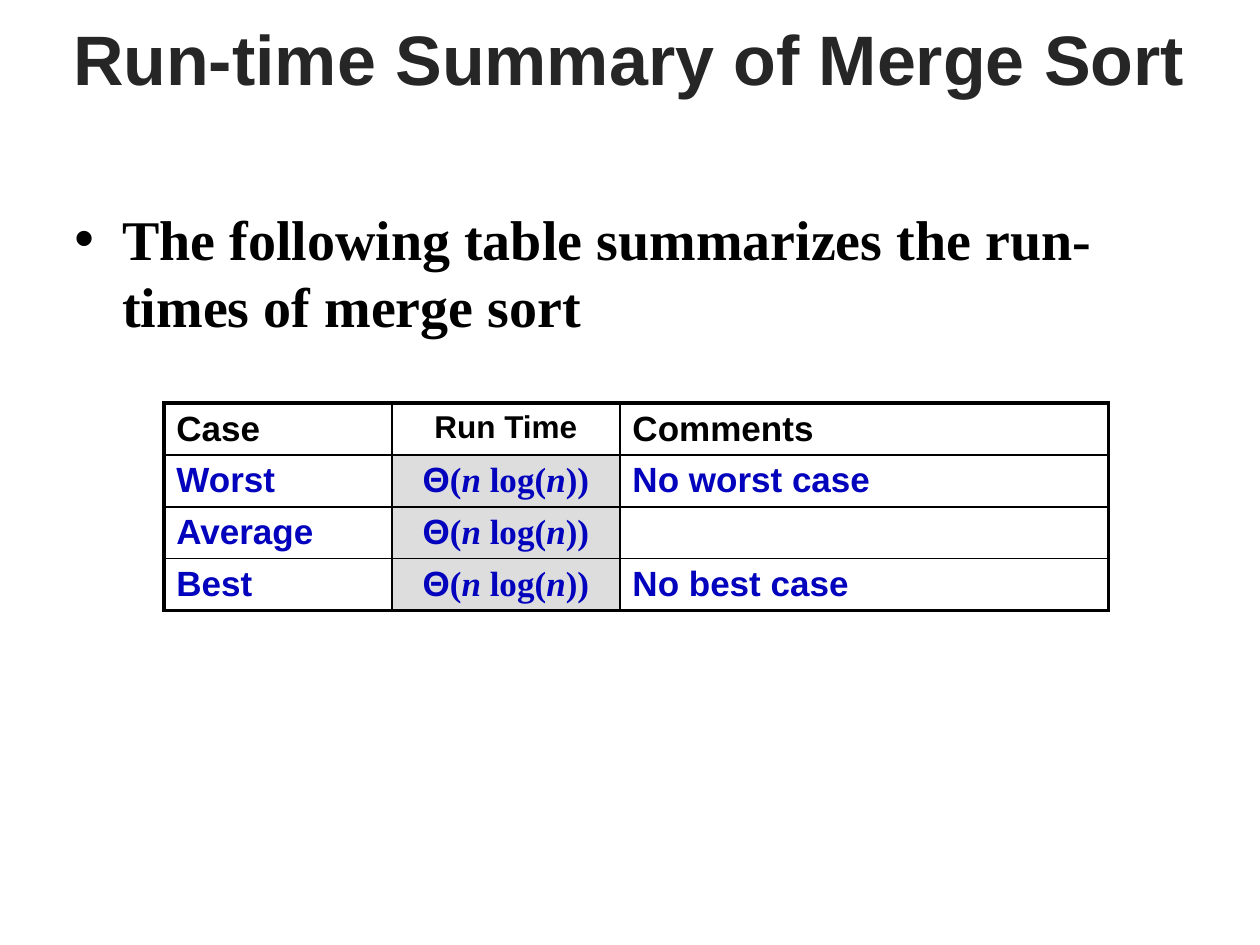
from lxml import etree
from pptx import Presentation
from pptx.dml.color import RGBColor
from pptx.enum.text import MSO_ANCHOR as Anchor, MSO_AUTO_SIZE as AutoSize, PP_ALIGN as Align
from pptx.oxml import parse_xml
from pptx.oxml.ns import nsdecls, qn
from pptx.util import Inches, Pt

COLORS = {"title": "262626", "text": "000000", "result": "0303BD",
          "shade": "DDDDDD", "border": "000000"}
SANS, SERIF = "Arial", "Times New Roman"
OUTER, INNER = 2.25, 1


class SummarySlide:
    def __init__(self, prs):
        self.slide = prs.slides.add_slide(prs.slide_layouts[1])

    def add_run(self, paragraph, text, size, color, font=SANS, italic=False):
        run = paragraph.add_run()
        run.text = text
        run.font.name = font
        run.font.size = Pt(size)
        run.font.bold = True
        run.font.italic = italic
        run.font.color.rgb = RGBColor.from_string(COLORS[color])

    def place(self, holder, left, top, width, height, anchor):
        holder.left, holder.top = Inches(left), Inches(top)
        holder.width, holder.height = Inches(width), Inches(height)
        frame = holder.text_frame
        frame.word_wrap = True
        frame.auto_size = AutoSize.NONE
        frame.vertical_anchor = anchor
        paragraph = frame.paragraphs[0]
        paragraph.alignment = Align.LEFT
        return paragraph

    def title(self, text):
        heading = self.place(self.slide.shapes.title, 0.48, 0.08, 9.19, 0.75, Anchor.MIDDLE)
        self.add_run(heading, text, 40, "title")

    def bullet(self, text):
        point = self.place(self.slide.placeholders[1], 0.49, 1.57, 9.06, 5.12, Anchor.TOP)
        point.space_before = Pt(6.4)
        self.add_run(point, text, 32, "text", SERIF)
        props = point._p.get_or_add_pPr()
        props.set("marL", str(Inches(0.38)))
        props.set("indent", str(-Inches(0.38)))
        etree.SubElement(props, qn("a:buChar")).set("char", "•")

    def borders(self, cell, widths):
        props = cell._tc.get_or_add_tcPr()
        for position, (side, width) in enumerate(widths.items()):
            props.insert(position, parse_xml(
                f'<a:ln{side} {nsdecls("a")} w="{Pt(width)}"><a:solidFill>'
                f'<a:srgbClr val="{COLORS["border"]}"/></a:solidFill></a:ln{side}>'))

    def table(self, rows, col_widths, left, top, row_height):
        last_row, last_col = len(rows) - 1, len(col_widths) - 1
        grid = self.slide.shapes.add_table(
            len(rows), len(col_widths), Inches(left), Inches(top),
            Inches(sum(col_widths)), Inches(row_height * len(rows))).table
        grid.first_row = grid.horz_banding = False
        for column, width in zip(grid.columns, col_widths):
            column.width = Inches(width)
        for r, row in enumerate(rows):
            for c, runs in enumerate(row):
                cell = grid.cell(r, c)
                # Shade the run times below the header
                if r and c == 1:
                    cell.fill.solid()
                    cell.fill.fore_color.rgb = RGBColor.from_string(COLORS["shade"])
                else:
                    cell.fill.background()
                self.borders(cell, {"L": OUTER if c == 0 else INNER,
                                    "R": OUTER if c == last_col else INNER,
                                    "T": OUTER if r == 0 else INNER,
                                    "B": OUTER if r == last_row else INNER})
                entry = cell.text_frame.paragraphs[0]
                entry.alignment = Align.CENTER if c == 1 else Align.LEFT
                size = 18 if (r, c) == (0, 1) else 20
                for text, font, italic in runs:
                    self.add_run(entry, text, size, "result" if r else "text", font, italic)


def plain(text):
    return [(text, SANS, False)] if text else []


def main():
    prs = Presentation()
    prs.slide_width, prs.slide_height = Inches(10), Inches(7.5)
    summary = SummarySlide(prs)

    # Heading and introduction
    summary.title("Run-time Summary of Merge Sort")
    summary.bullet("The following table summarizes the run-times of merge sort")

    # Run times by case
    n_log_n = [("Θ", SANS, False), ("(", SERIF, False), ("n", SERIF, True),
               (" log(", SERIF, False), ("n", SERIF, True), ("))", SERIF, False)]
    comments = {"Worst": "No worst case", "Average": "", "Best": "No best case"}
    rows = [[plain(label) for label in ("Case", "Run Time", "Comments")]]
    rows += [[plain(case), n_log_n, plain(comment)] for case, comment in comments.items()]
    summary.table(rows, [1.81, 1.81, 3.88], left=1.3, top=3.2, row_height=0.41)

    prs.save("out.pptx")


if __name__ == "__main__":
    main()
